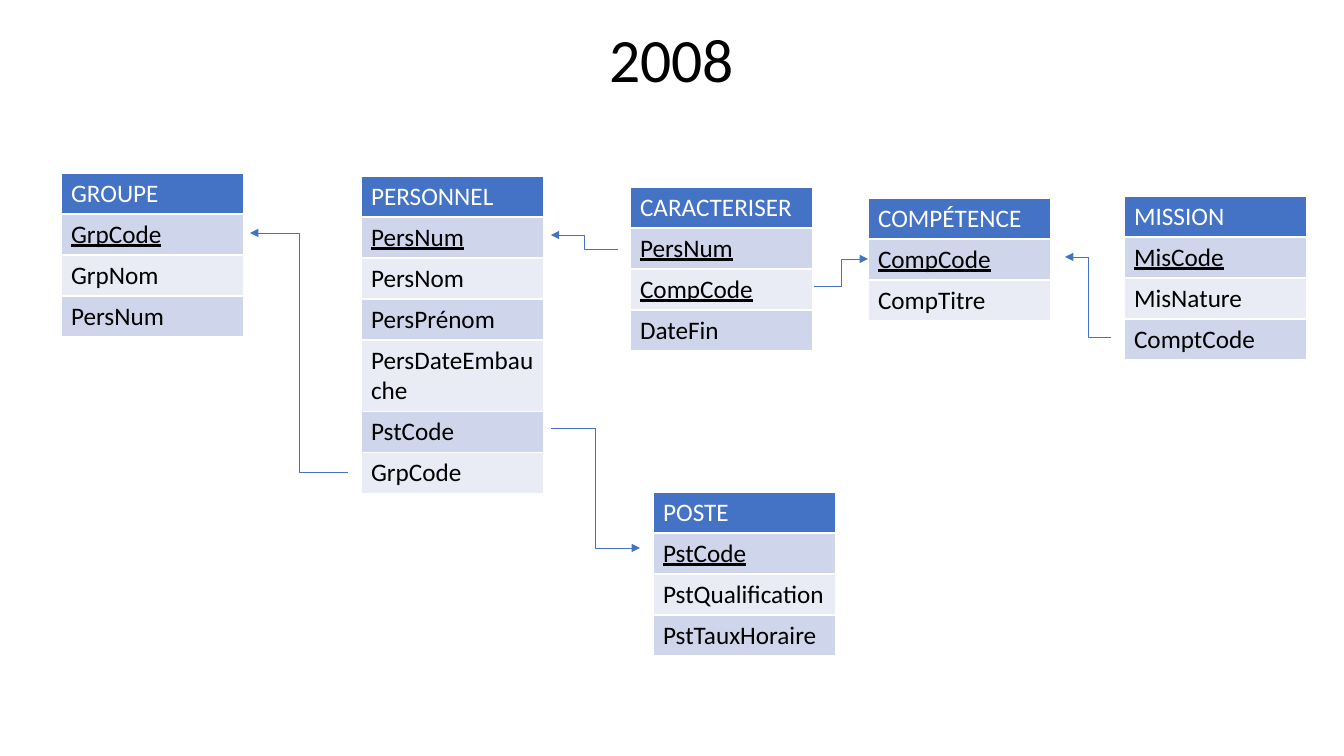
from lxml import etree
from pptx import Presentation
from pptx.dml.color import RGBColor
from pptx.enum.shapes import MSO_CONNECTOR
from pptx.enum.text import MSO_ANCHOR, PP_ALIGN
from pptx.oxml.ns import qn
from pptx.util import Emu, Pt

ELBOW = MSO_CONNECTOR.ELBOW
MIDDLE, CENTER = MSO_ANCHOR.MIDDLE, PP_ALIGN.CENTER
FONT = "Calibri"
BLUE, BANDS = "4472C4", ("E9EBF5", "CFD5EA")
COL_W, ROW_H = 183, 41


def px(n):
    """Turn pixels into EMU at 100.8 pixels to the inch."""
    return Emu(round(n * 914400 / 100.8))


def rgb(color):
    """Turn a hex string into a colour."""
    return RGBColor.from_string(color)


prs = Presentation()
prs.slide_width, prs.slide_height = px(1344), px(756)
s = prs.slides.add_slide(prs.slide_layouts[6])

# Entities: left, top, number of key fields, name and fields
entities = [
    (61, 173, 1, "GROUPE GrpCode GrpNom PersNum"),
    (653, 492, 1, "POSTE PstCode PstQualification PstTauxHoraire"),
    (361, 176, 1, "PERSONNEL PersNum PersNom PersPrénom PersDateEmbauche PstCode GrpCode"),
    (868, 198, 1, "COMPÉTENCE CompCode CompTitre"),
    (1124, 196, 1, "MISSION MisCode MisNature ComptCode"),
    (630, 187, 2, "CARACTERISER PersNum CompCode DateFin"),
]
for left, top, keys, names in entities:
    rows = names.split()
    table = s.shapes.add_table(len(rows), 1, px(left), px(top),
                               px(COL_W), px(ROW_H * len(rows))).table
    for i, name in enumerate(rows):
        cell = table.cell(i, 0)
        cell.text = name
        cell.fill.solid()
        cell.fill.fore_color.rgb = rgb(BANDS[i % 2] if i else BLUE)
        font = cell.text_frame.paragraphs[0].font
        font.name, font.size, font.bold = FONT, Pt(18), False
        font.color.rgb = rgb("000000" if i else "FFFFFF")
        if 1 <= i <= keys:
            font.underline = True

# References from foreign key to primary key
references = [
    (348, 472, 250, 233),
    (551, 428, 640, 548),
    (814, 286, 868, 259),
    (1111, 337, 1065, 257),
    (618, 249, 551, 235),
]
for ends in references:
    link = s.shapes.add_connector(ELBOW, *map(px, ends))
    link.line.color.rgb = rgb(BLUE)
    link.line.width = Pt(0.5)
    sp_pr = link._element.spPr
    etree.SubElement(sp_pr.find(qn("a:ln")), qn("a:tailEnd"), type="triangle")
    etree.SubElement(sp_pr, qn("a:effectLst"))

# Title
tf = s.shapes.add_textbox(px(168), px(27), px(1008), px(71)).text_frame
tf.word_wrap = True
tf.vertical_anchor = MIDDLE
p = tf.paragraphs[0]
p.text = "2008"
p.alignment = CENTER
p.line_spacing = 0.9
p.font.name, p.font.size = FONT, Pt(44)
p.font.color.rgb = rgb("000000")

prs.save("out.pptx")
